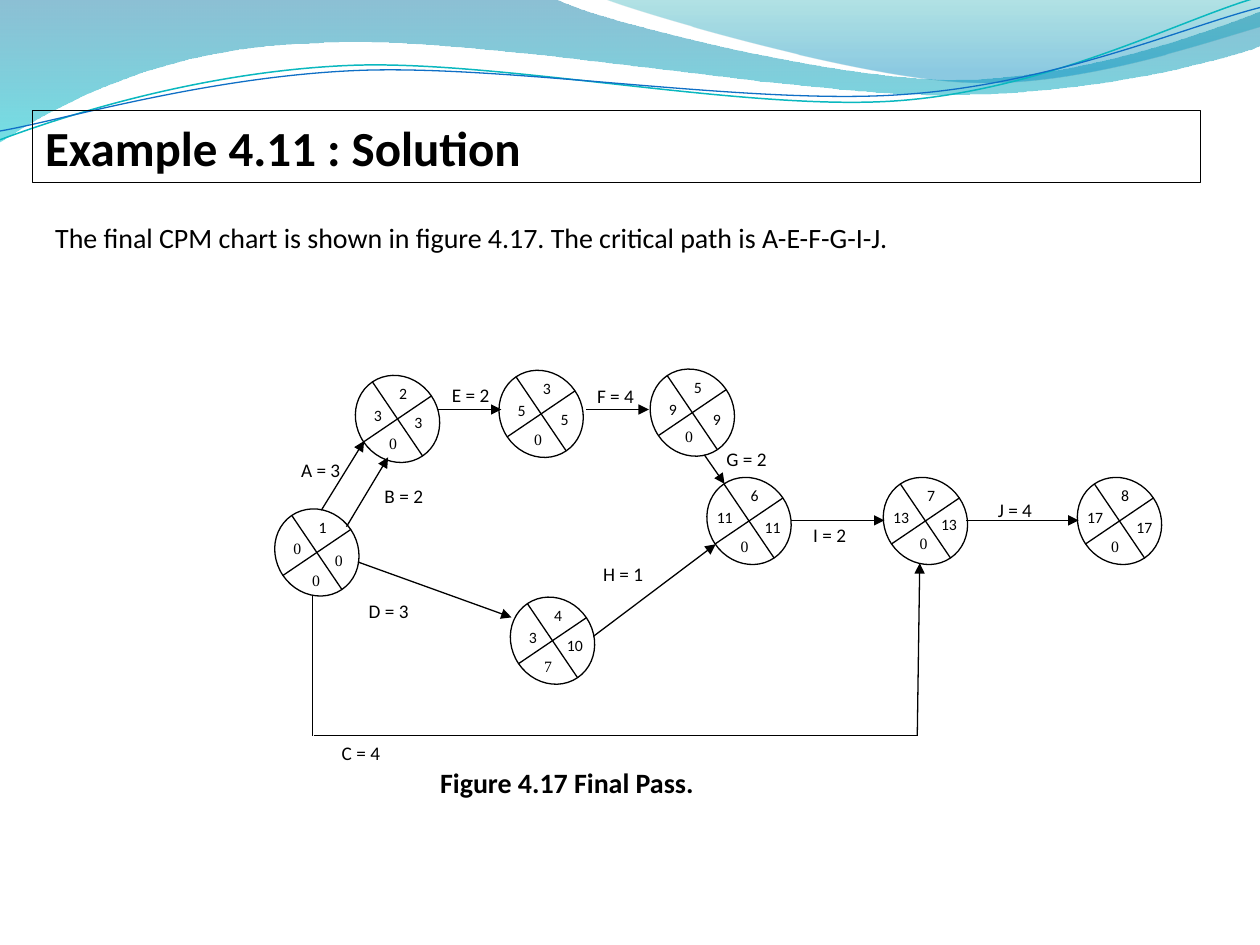
from lxml.etree import SubElement
from pptx import Presentation
from pptx.dml.color import RGBColor
from pptx.enum.shapes import MSO_CONNECTOR as Link, MSO_SHAPE as Preset
from pptx.enum.text import MSO_ANCHOR as Anchor, PP_ALIGN as Align
from pptx.oxml.ns import qn
from pptx.util import Cm, Pt

INCH = 2.54
COLORS = {
    "ink": "000000", "paper": "FFFFFF",
    "wave top": "0074A1", "wave bottom": "00C6CF",
    "crest top": "00A1A9", "crest bottom": "008BBF",
    "teal line": "0AB8BF", "blue line": "0F6FC6",
}
RGB = {name: RGBColor.from_string(value) for name, value in COLORS.items()}


def inches(*values):
    return [Cm(INCH * value) for value in values]


def write(box, text, size, font="Calibri", bold=False, align=Align.LEFT, after=0):
    box.text_frame.word_wrap = True
    para = box.text_frame.paragraphs[0]
    para.text = text
    para.alignment = align
    para.space_after = Pt(after)
    span = para.runs[0].font
    span.name, span.size, span.bold = font, Pt(size), bold
    span.color.rgb = RGB["ink"]


deck = Presentation()
deck.slide_width, deck.slide_height = inches(10, 7.5)
page = deck.slides.add_slide(deck.slide_layouts[6])
shapes = page.shapes

wave = [(0, 0), (4.4, -0.01), (4.76, 0.17, 6.64, 0.63, 7.58, 0.63),
        (8.53, 0.63, 9.58, 0.26, 10, 0.09), (10.01, 0.36),
        (9.83, 0.44, 8.7, 0.76, 7.46, 0.75), (6.22, 0.75, 3.82, 0.28, 2.57, 0.34),
        (1.29, 0.36, 0.46, 0.83, -0.01, 1.13), (0, 0)]
crest = [(4.79, -0.01), (5.09, 0.11, 6.82, 0.62, 7.69, 0.65),
         (8.56, 0.69, 9.61, 0.32, 10, 0.21), (10, 0), (4.79, -0.01)]
teal = [(0, 1.11), (0.48, 0.93, 1.58, 0.57, 2.77, 0.52),
        (3.95, 0.47, 5.93, 0.89, 7.13, 0.8), (8.33, 0.71, 9.38, 0.15, 9.98, -0.02)]
blue = [(0, 1.04), (0.47, 0.96, 1.64, 0.61, 2.83, 0.56),
        (4.03, 0.51, 5.97, 0.84, 7.17, 0.75), (8.36, 0.67, 9.41, 0.21, 10, 0.06)]
ribbons = [
    (wave, [("wave top", 0, 45), ("wave bottom", 1, 55)], None, 0),
    (crest, [("crest top", 0, 30), ("crest bottom", 0.8, 45)], None, 0),
    (teal, [], "teal line", 0.85),
    (blue, [], "blue line", 0.75),
]
for segments, stops, line_color, width in ribbons:
    outline = shapes.build_freeform(*inches(*segments[0]))
    for segment in segments[1:]:
        points = [inches(*segment[i:i + 2]) for i in range(0, len(segment), 2)]
        outline.add_line_segments(points, close=False)
    ribbon = outline.convert_to_shape()
    steps = iter(list(ribbon.element.spPr.iter(qn("a:lnTo"))))
    for segment in segments[1:]:
        first = next(steps)
        if len(segment) == 6:
            first.tag = qn("a:cubicBezTo")
            for control in (next(steps), next(steps)):
                first.append(control[0])
                control.getparent().remove(control)
    if stops:
        SubElement(first.getparent(), qn("a:close"))
    ribbon.shadow.inherit = False
    if stops:
        ribbon.line.fill.background()
        ribbon.fill.gradient()
        ribbon.fill.gradient_angle = 270
        for stop, (name, position, opacity) in zip(ribbon.fill.gradient_stops, stops):
            stop.color.rgb = RGB[name]
            stop.position = position
        for tint, (name, position, opacity) in zip(
                ribbon.element.spPr.iter(qn("a:srgbClr")), stops):
            SubElement(tint, qn("a:alpha"), val=str(opacity * 1000))
    else:
        ribbon.fill.background()
        ribbon.line.color.rgb = RGB[line_color]
        ribbon.line.width = Pt(width)

title = shapes.add_shape(Preset.RECTANGLE, *inches(0.26, 0.88, 9.27, 0.57))
title.shadow.inherit = False
title.fill.background()
title.line.color.rgb = RGB["ink"]
title.line.width = Pt(0.75)
title.text_frame.vertical_anchor = Anchor.TOP
write(title, "Example 4.11 : Solution", 28, bold=True)

statement = shapes.add_textbox(*inches(0.34, 1.7, 9.2, 0.37))
write(statement, "The final CPM chart is shown in figure 4.17. "
                 "The critical path is A-E-F-G-I-J.", 16)

activities = [
    ("G = 2", 5.67, 3.56), ("A = 3", 2.29, 3.64), ("I = 2", 6.33, 4.16),
    ("F = 4", 4.63, 3.06), ("E = 2", 3.48, 3.05), ("B = 2", 2.95, 3.85),
    ("H = 1", 4.69, 4.47), ("D = 3", 2.83, 4.76), ("J = 4", 7.8, 3.96),
    ("C = 4", 2.61, 5.89),
]
for text, left, top in activities:
    label = shapes.add_shape(Preset.RECTANGLE, *inches(left, top, 0.51, 0.17))
    label.shadow.inherit = False
    label.fill.solid()
    label.fill.fore_color.rgb = RGB["paper"]
    label.line.fill.background()
    frame = label.text_frame
    frame.margin_left = frame.margin_right = frame.margin_top = frame.margin_bottom = 0
    frame.vertical_anchor = Anchor.MIDDLE
    write(label, text, 11, align=Align.CENTER, after=10)

SERIF = "Times New Roman"
events = [
    (2.83, 2.97, "2", "3", "3", "0", (3.19, 3.23), (2.99, 3.39)),
    (2.19, 4.03, "1", "0", "0", "0", (2.56, 4.32), (2.38, 4.48)),
    (4.06, 4.73, "4", "3", "10", "7", (4.4, 5), (4.22, 5.16)),
    (5.17, 2.92, "5", "9", "9", "0", (5.56, 3.2), (5.34, 3.34)),
    (3.97, 2.93, "3", "5", "5", "0", (4.35, 3.2), (4.14, 3.36)),
    (7.02, 3.78, "7", "13", "13", "0", (7.37, 4.04), (7.2, 4.19)),
    (8.56, 3.78, "8", "17", "17", "0", (8.92, 4.06), (8.72, 4.21)),
    (5.62, 3.78, "6", "11", "11", "0", (5.97, 4.06), (5.78, 4.21)),
]
for left, top, number, early, late, slack, late_at, slack_at in events:
    node = shapes.add_shape(Preset.FLOWCHART_OR, *inches(left, top, 0.65, 0.71))
    node.rotation = 325.9
    node.shadow.inherit = False
    node.fill.solid()
    node.fill.fore_color.rgb = RGB["paper"]
    node.line.color.rgb = RGB["ink"]
    node.line.width = Pt(0.75)
    time_font = SERIF if early == "0" else "Calibri"
    early_left, early_width = (0.04, 0.24) if len(early) == 1 else (-0.03, 0.35)
    quadrants = [
        (number, (left + 0.24, top + 0.03), 0.24, "Calibri"),
        (early, (left + early_left, top + 0.2), early_width, time_font),
        (late, late_at, 0.24 if late == "0" else 0.35, time_font),
        (slack, slack_at, 0.24, SERIF),
    ]
    for text, corner, width, font in quadrants:
        value = shapes.add_textbox(*inches(*corner, width, 0.23))
        write(value, text, 9, font, after=10)

caption = shapes.add_textbox(*inches(2.05, 6.03, 4.9, 0.37))
write(caption, "Figure 4.17 Final Pass.", 16, bold=True, align=Align.CENTER)

arrows = [
    (2.55, 4.05, 2.89, 3.5), (2.84, 4.46, 4.06, 4.9), (4.71, 5.05, 5.68, 4.32),
    (5.59, 3.61, 5.75, 3.84), (6.28, 4.13, 7.02, 4.13), (7.67, 4.13, 8.56, 4.13),
    (3.48, 3.25, 3.98, 3.25), (4.65, 3.25, 5.15, 3.25), (7.28, 5.84, 7.3, 4.47),
    (2.75, 4.18, 3.08, 3.63),
]
plain_lines = [(2.48, 4.72, 2.48, 5.84), (2.49, 5.84, 7.28, 5.84)]
for ends in arrows + plain_lines:
    link = shapes.add_connector(Link.STRAIGHT, *inches(*ends))
    link.line.color.rgb = RGB["ink"]
    link.line.width = Pt(0.75)
    properties = link.element.spPr
    if ends in arrows:
        SubElement(properties.find(qn("a:ln")), qn("a:tailEnd"), type="triangle")
    SubElement(properties, qn("a:effectLst"))

deck.save("out.pptx")
